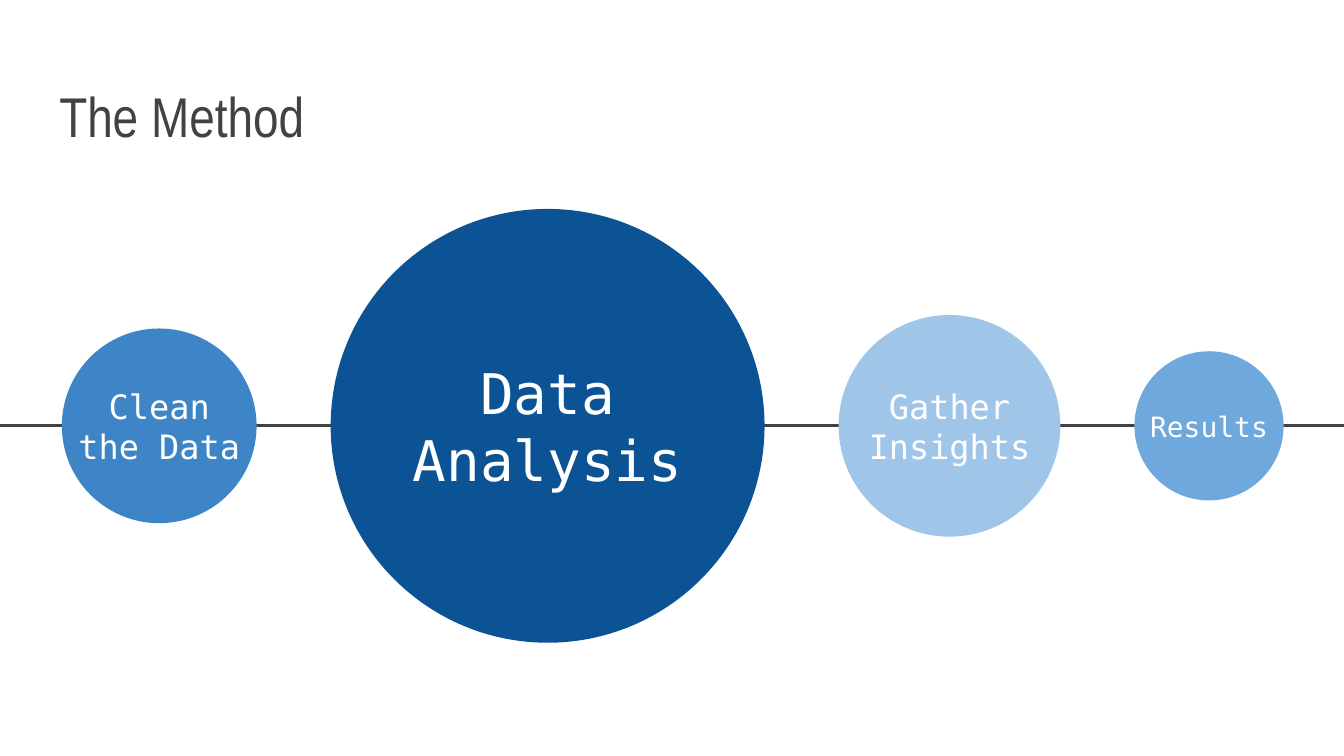
"""Build a slide that shows the steps of a method as circles on a line."""
import dataclasses

import pptx
import pptx.dml.color
import pptx.enum.shapes
import pptx.enum.text
import pptx.oxml.ns
import pptx.util

Cm = pptx.util.Cm
Align = pptx.enum.text.PP_ALIGN
Anchor = pptx.enum.text.MSO_ANCHOR


@dataclasses.dataclass(frozen=True)
class Theme:
    ink: str = "424242"
    white: str = "FFFFFF"
    mid: str = "3D85C6"
    deep: str = "0B5394"
    pale: str = "9FC5E8"
    soft: str = "6FA8DC"
    head: str = "Arial Narrow"
    body: str = "DejaVu Sans Mono"
    large: int = 30
    normal: int = 18
    small: int = 15


THEME = Theme()
WIDTH, HEIGHT = 25.4, 14.29
AXIS = 8.05
START, GAP = 1.17, 1.4
LABEL = 1.68
INSET = 0.25
STEPS = [
    ("Clean the Data", 3.68, THEME.mid, THEME.normal),
    ("Data Analysis", 8.2, THEME.deep, THEME.large),
    ("Gather Insights", 4.19, THEME.pale, THEME.normal),
    ("Results", 2.82, THEME.soft, THEME.small),
]


def color(code):
    return pptx.dml.color.RGBColor.from_string(code)


def write(shape, text, *, size, font, ink, align, anchor):
    frame = shape.text_frame
    frame.word_wrap = True
    frame.auto_size = pptx.enum.text.MSO_AUTO_SIZE.NONE
    frame.vertical_anchor = anchor
    frame.margin_left = frame.margin_right = Cm(INSET)
    frame.margin_top = frame.margin_bottom = Cm(INSET)
    frame.text = text
    para = frame.paragraphs[0]
    para.alignment = align
    para.font.size = pptx.util.Pt(size)
    para.font.name = font
    para.font.color.rgb = color(ink)


def add_title(slide, text):
    title = slide.shapes.title
    title.left, title.top = Cm(0.87), Cm(1.04)
    title.width, title.height = Cm(23.67), Cm(2.03)
    write(title, text, size=THEME.large, font=THEME.head, ink=THEME.ink,
          align=Align.LEFT, anchor=Anchor.BOTTOM)


def add_axis(slide):
    line = slide.shapes.add_connector(
        pptx.enum.shapes.MSO_CONNECTOR.STRAIGHT,
        Cm(0), Cm(AXIS), Cm(WIDTH), Cm(AXIS))
    line.line.color.rgb = color(THEME.ink)
    line.line.width = pptx.util.Pt(1.5)
    props = line._element.spPr
    props.append(props.makeelement(pptx.oxml.ns.qn("a:effectLst"), {}))


def add_step(slide, left, text, width, fill, size):
    disc = slide.shapes.add_shape(
        pptx.enum.shapes.MSO_SHAPE.OVAL,
        Cm(left), Cm(AXIS - width / 2), Cm(width), Cm(width))
    disc.shadow.inherit = False
    disc.fill.solid()
    disc.fill.fore_color.rgb = color(fill)
    disc.line.fill.background()
    label = slide.shapes.add_textbox(
        Cm(left), Cm(AXIS - LABEL / 2), Cm(width), Cm(LABEL))
    write(label, text, size=size, font=THEME.body, ink=THEME.white,
          align=Align.CENTER, anchor=Anchor.MIDDLE)


def main():
    deck = pptx.Presentation()
    deck.slide_width, deck.slide_height = Cm(WIDTH), Cm(HEIGHT)
    slide = deck.slides.add_slide(deck.slide_layouts.get_by_name("Title Only"))
    slide.background.fill.solid()
    slide.background.fill.fore_color.rgb = color(THEME.white)
    add_title(slide, "The Method")
    add_axis(slide)
    left = START
    for text, width, fill, size in STEPS:
        add_step(slide, left, text, width, fill, size)
        left += width + GAP
    deck.save("out.pptx")


if __name__ == "__main__":
    main()
